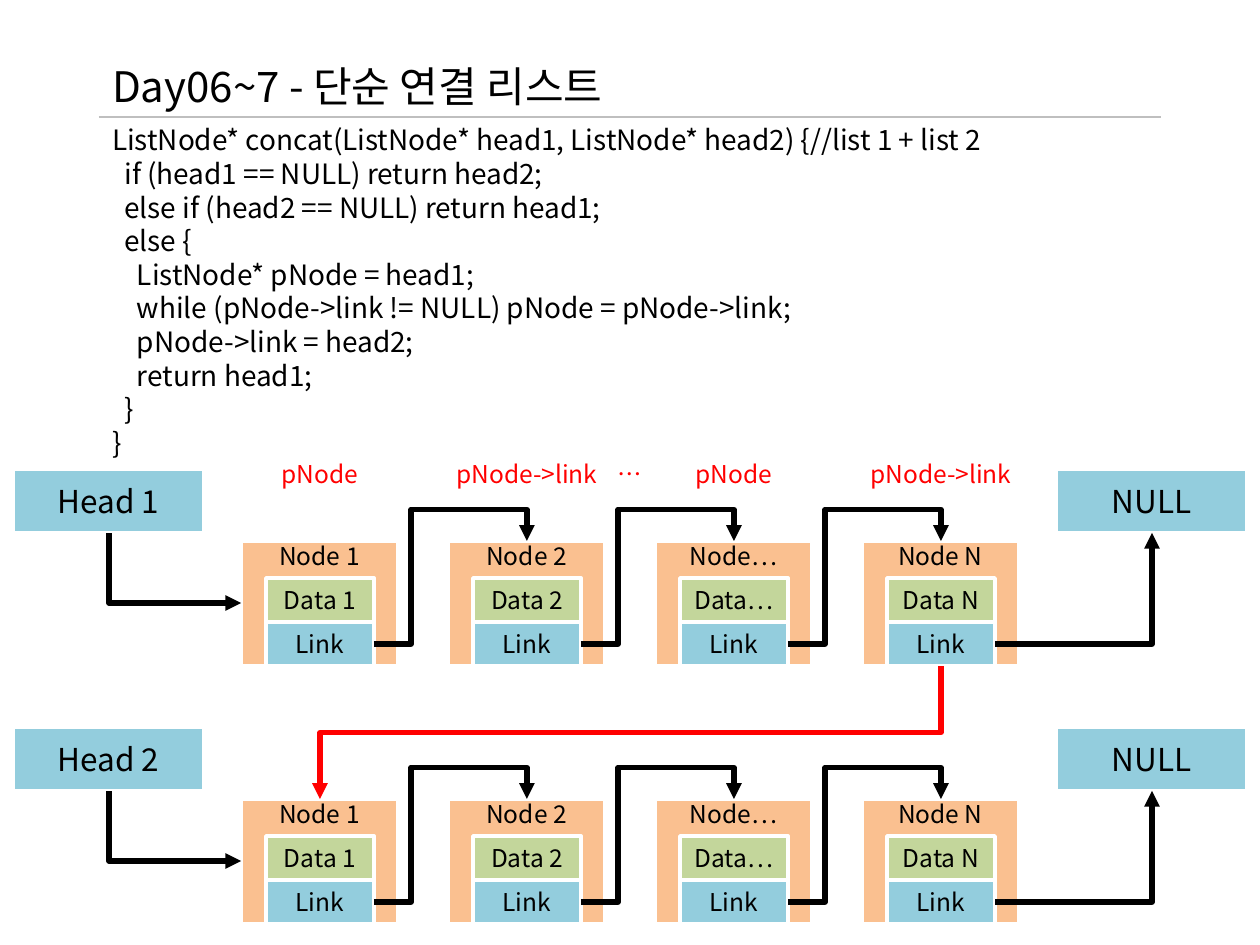
import lxml.etree
import pptx
import pptx.dml.color
import pptx.enum.shapes
import pptx.enum.text
import pptx.oxml.ns
import pptx.util

SCALE = 914400 / 126
FONT = "Noto Sans CJK KR"
COLORS = {"ink": "000000", "red": "FF0000", "rule": "BFBFBF", "white": "FFFFFF",
          "node": "FAC090", "data": "C3D69B", "link": "93CDDD"}
MARKS = ("1", "2", "…", "N")
CODE = """ListNode* concat(ListNode* head1, ListNode* head2) {//list 1 + list 2
  if (head1 == NULL) return head2;
  else if (head2 == NULL) return head1;
  else {
    ListNode* pNode = head1;
    while (pNode->link != NULL) pNode = pNode->link;
    pNode->link = head2;
    return head1;
  }
}"""
STEP, NODE_W, NODE_H = 207, 157, 125
MID, PORT = 79, 133
ALIGN = pptx.enum.text.PP_ALIGN
ANCHOR = pptx.enum.text.MSO_ANCHOR


def px(num):
    """Turn px into EMU."""
    return pptx.util.Emu(round(num * SCALE))


def rgb(name):
    """Look up a named colour."""
    return pptx.dml.color.RGBColor.from_string(COLORS[name])


def write(shape, text, size=14, color="ink", align=ALIGN.CENTER,
          anchor=ANCHOR.MIDDLE, pad=6, pitch=None, wrap=True):
    """Fill a shape with formatted text, one paragraph a line."""
    frame = shape.text_frame
    frame.word_wrap = wrap
    frame.auto_size = pptx.enum.text.MSO_AUTO_SIZE.NONE
    frame.vertical_anchor = anchor
    frame.margin_left = frame.margin_right = px(13)
    frame.margin_top = frame.margin_bottom = px(pad)
    frame.text = text
    for para in frame.paragraphs:
        para.alignment = align
        if pitch:
            para.line_spacing = pptx.util.Pt(pitch)
        for run in para.runs:
            run.font.size = pptx.util.Pt(size)
            run.font.name = FONT
            run.font.color.rgb = rgb(color)
            east = lxml.etree.SubElement(run.font._element, pptx.oxml.ns.qn("a:ea"))
            east.set("typeface", FONT)


def block(shapes, box, text, fill, **form):
    """Draw a white-edged filled box with text."""
    rect = shapes.add_shape(pptx.enum.shapes.MSO_SHAPE.RECTANGLE, *map(px, box))
    rect.shadow.inherit = False
    rect.fill.solid()
    rect.fill.fore_color.rgb = rgb(fill)
    rect.line.color.rgb = rgb("white")
    rect.line.width = pptx.util.Pt(2)
    write(rect, text, **form)


def label(slide, box, text, **form):
    """Place a text box."""
    write(slide.shapes.add_textbox(*map(px, box)), text, **form)


def stroke(slide, kind, start, end, color, width):
    """Draw a plain connector without shadow."""
    line = slide.shapes.add_connector(kind, *map(px, start + end))
    line.line.color.rgb = rgb(color)
    line.line.width = pptx.util.Pt(width)
    lxml.etree.SubElement(line._element.spPr, pptx.oxml.ns.qn("a:effectLst"))
    return line


def wire(slide, bends, start, end, turn=0, color="ink", adjust=()):
    """Draw a bent arrow, turned by 0, 90 or 270 degrees."""
    mid_x, mid_y = (start[0] + end[0]) / 2, (start[1] + end[1]) / 2
    dx, dy = end[0] - start[0], end[1] - start[1]
    dx, dy = {0: (dx, dy), 90: (dy, -dx), 270: (-dy, dx)}[turn]
    line = stroke(slide, pptx.enum.shapes.MSO_CONNECTOR.ELBOW,
                  (mid_x - dx / 2, mid_y - dy / 2),
                  (mid_x + dx / 2, mid_y + dy / 2), color, 3)
    props = line._element.spPr
    if turn:
        props.find(pptx.oxml.ns.qn("a:xfrm")).set("rot", str(turn * 60000))
    shape = props.find(pptx.oxml.ns.qn("a:prstGeom"))
    shape.set("prst", f"bentConnector{bends}")
    guides = shape.find(pptx.oxml.ns.qn("a:avLst"))
    for num, value in enumerate(adjust, 1):
        guide = lxml.etree.SubElement(guides, pptx.oxml.ns.qn("a:gd"))
        guide.set("name", f"adj{num}")
        guide.set("fmla", f"val {value}")
    tip = lxml.etree.SubElement(line.line._get_or_add_ln(), pptx.oxml.ns.qn("a:tailEnd"))
    tip.set("type", "triangle")


def header(slide, left, top, width, height):
    """Place the title and the rule below it."""
    title = slide.shapes.title
    title.left, title.top, title.width, title.height = map(px, (left, top, width, height))
    write(title, "Day06~7 - 단순 연결 리스트", size=24, align=ALIGN.LEFT)
    base = top + height
    stroke(slide, pptx.enum.shapes.MSO_CONNECTOR.STRAIGHT,
           (left, base), (left + width, base), "rule", 0.75)


def node(slide, left, top, mark):
    """Draw one list node with its data and link cells."""
    shapes = slide.shapes.add_group_shape().shapes
    gap = "" if mark == "…" else " "
    block(shapes, (left, top, NODE_W, NODE_H), f"Node{gap}{mark}", "node",
          anchor=ANCHOR.TOP, pad=0)
    block(shapes, (left + 25, top + 37, 108, 44), f"Data{gap}{mark}", "data", wrap=False)
    block(shapes, (left + 25, top + 81, 108, 44), "Link", "link")


def chain(slide, left, top, name):
    """Draw a linked list from its head to NULL."""
    first, level = left + 228, top + 72
    port = level + 103
    block(slide.shapes, (left, top, 191, 64), name, "link", size=18)
    block(slide.shapes, (left + 1043, top, 191, 64), "NULL", "link", size=18)
    for num, mark in enumerate(MARKS):
        node(slide, first + num * STEP, level, mark)
    for num in range(len(MARKS) - 1):
        spot = first + num * STEP
        wire(slide, 4, (spot + PORT, port), (spot + STEP + MID, level),
             adjust=(24300, 130600))
    wire(slide, 2, (left + 96, top + 64), (first, level + 62), turn=270)
    wire(slide, 2, (first + 3 * STEP + PORT, port), (left + 1139, top + 64))


def hints(slide, left, top):
    """Label the pointers above the first list."""
    for num in range(len(MARKS)):
        text = "pNode->link" if num % 2 else "pNode"
        label(slide, (left + num * STEP - 87, top, 174, 43), text, color="red")
    label(slide, (left + 251, top, 118, 43), "…", color="red")


def main():
    """Build the slide and save it."""
    deck = pptx.Presentation()
    deck.slide_width, deck.slide_height = px(1260), px(945)
    slide = deck.slides.add_slide(deck.slide_layouts[5])
    header(slide, 99, 54, 1062, 63)
    label(slide, (99, 117, 1062, 352), CODE, size=16, align=ALIGN.LEFT,
          anchor=ANCHOR.TOP, pitch=19.2)
    for num, top in enumerate((469, 727), 1):
        chain(slide, 13, top, f"Head {num}")
    wire(slide, 3, (941, 666), (320, 799), turn=90, color="red", adjust=(50000,))
    hints(slide, 320, 452)
    deck.save("out.pptx")


if __name__ == "__main__":
    main()
